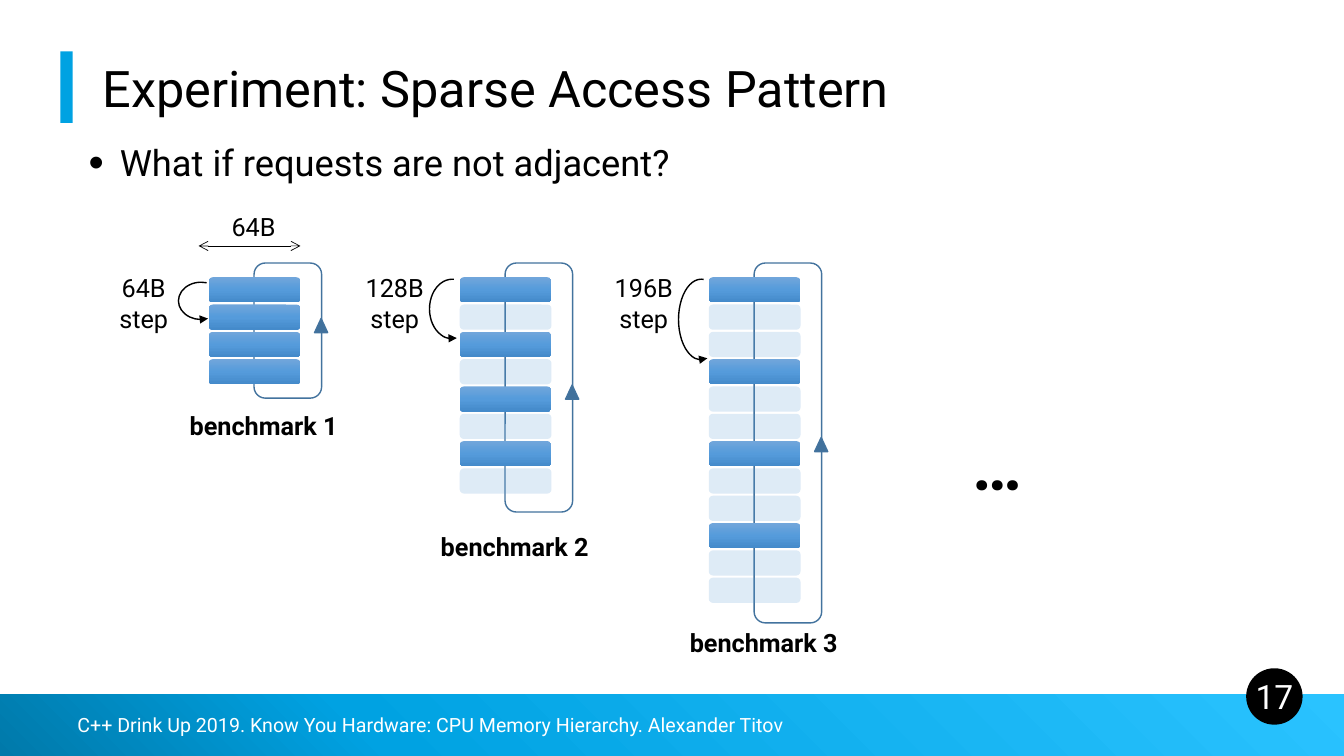
from dataclasses import dataclass

from pptx import Presentation
from pptx.dml.color import RGBColor
from pptx.enum.shapes import MSO_CONNECTOR, MSO_SHAPE
from pptx.enum.text import MSO_ANCHOR, PP_ALIGN
from pptx.oxml import parse_xml
from pptx.oxml.ns import nsdecls
from pptx.util import Inches, Pt


@dataclass(frozen=True)
class Theme:
    font: str = "Roboto"
    black: str = "000000"
    white: str = "FFFFFF"
    accent: str = "00A2E2"
    loop: str = "43739E"
    marker: str = "41719C"
    skipped: str = "5B9BD5"
    footer_stops: tuple = ((0, "0079AA"), (28, "00A2E2"), (100, "2AC3FF"))
    used_stops: tuple = ((0, "71A6DB"), (50, "559BDB"), (100, "448ACA"))
    title: float = 36
    body: float = 25.9
    label: float = 18
    footer: float = 14
    number: float = 24
    dots: float = 48


@dataclass(frozen=True)
class Benchmark:
    name: str
    step: str
    left: float
    stride: int
    loop_height: float
    marker_top: float
    name_top: float
    arc: tuple  # top, height, start, end


THEME = Theme()
BENCHMARKS = (
    Benchmark("benchmark 1", "64B", 2.07, 1, 1.34, 3.16, 4.02,
              (2.8, 0.37, 151.74, 66.71)),
    Benchmark("benchmark 2", "128B", 4.56, 2, 2.47, 3.82, 5.22,
              (2.77, 0.59, 159.99, 59.4)),
    Benchmark("benchmark 3", "196B", 7.03, 3, 3.57, 4.34, 6.17,
              (2.77, 0.8, 159.99, 59.4)),
)
ACCESSES = 4
STACK_TOP, ROW_PITCH = 2.75, 0.271
ROW_WIDTH, ROW_HEIGHT = 0.91, 0.25


def color(value):
    return RGBColor.from_string(value)


def add_shape(page, kind, box, fill=None, line=None):
    shape = page.shapes.add_shape(kind, *map(Inches, box))
    shape.shadow.inherit = False
    if fill:
        shape.fill.solid()
        shape.fill.fore_color.rgb = color(fill)
    else:
        shape.fill.background()
    if line:
        shape.line.color.rgb = color(line)
        shape.line.width = Pt(1)
    else:
        shape.line.fill.background()
    return shape


def set_gradient(shape, stops, angle):
    stop_xml = "".join(
        f'<a:gs pos="{position * 1000}"><a:srgbClr val="{value}"/></a:gs>'
        for position, value in stops)
    gradient = parse_xml(
        f'<a:gradFill {nsdecls("a")} rotWithShape="1"><a:gsLst>{stop_xml}</a:gsLst>'
        f'<a:lin ang="{angle * 60000}" scaled="0"/></a:gradFill>')
    properties = shape.element.spPr
    properties.replace(properties.find(shape.fill_tag) if hasattr(shape, "fill_tag")
                       else properties.xpath("a:solidFill")[0], gradient)


def add_arrowhead(line, end, kind):
    line.line._get_or_add_ln().append(
        parse_xml(f'<a:{end} {nsdecls("a")} type="{kind}"/>'))


def add_text(page, box, text, size, ink=THEME.black, bold=False,
             align=PP_ALIGN.CENTER, anchor=MSO_ANCHOR.MIDDLE, wrap=False):
    frame = page.shapes.add_textbox(*map(Inches, box)).text_frame
    frame.word_wrap = wrap
    frame.vertical_anchor = anchor
    frame.text = text
    for para in frame.paragraphs:
        para.alignment = align
        for span in para.runs:
            span.font.name = THEME.font
            span.font.size = Pt(size)
            span.font.bold = bold
            span.font.color.rgb = color(ink)
    return frame


def add_footer(page, left, top, width, height):
    bar = add_shape(page, MSO_SHAPE.RECTANGLE, (left, top, width, height), THEME.accent)
    set_gradient(bar, THEME.footer_stops, 315)
    add_text(page, (left + 0.67, top + 0.06, 11, 0.48),
             "C++ Drink Up 2019. Know You Hardware: CPU Memory Hierarchy. Alexander Titov",
             THEME.footer, THEME.white, align=PP_ALIGN.LEFT, wrap=True)
    # Page number badge
    add_shape(page, MSO_SHAPE.OVAL, (left + 12.36, top - 0.26, 0.56, 0.56), THEME.black)
    add_text(page, (left + 12.28, top - 0.26, 0.72, 0.56), "17",
             THEME.number, THEME.white, wrap=True)


def add_heading(page, left, top, width, height):
    add_shape(page, MSO_SHAPE.RECTANGLE, (left, top, 0.12, height), THEME.accent)
    title = add_text(page, (left + 0.32, top, width, height),
                     "Experiment: Sparse Access Pattern", THEME.title,
                     align=PP_ALIGN.LEFT, anchor=MSO_ANCHOR.BOTTOM, wrap=True)
    title.paragraphs[0].line_spacing = 0.9


def add_question(page, box):
    frame = add_text(page, box, "What if requests are not adjacent?", THEME.body,
                     align=PP_ALIGN.LEFT, anchor=MSO_ANCHOR.TOP, wrap=True)
    para = frame.paragraphs[0]
    para.line_spacing = 0.8
    properties = para._p.get_or_add_pPr()
    properties.set("marL", str(Inches(0.31)))
    properties.set("indent", str(-Inches(0.31)))
    for tag in ('buSzPct {} val="120000"', 'buFont {} typeface="Arial"',
                'buChar {} char="•"'):
        properties.append(parse_xml(f'<a:{tag.format(nsdecls("a"))}/>'))


def add_width_mark(page, left, top, width):
    arrow = page.shapes.add_connector(
        MSO_CONNECTOR.STRAIGHT, *map(Inches, (left, top, left + width, top)))
    arrow.line.color.rgb = color(THEME.black)
    arrow.line.width = Pt(0.5)
    for end in ("headEnd", "tailEnd"):
        add_arrowhead(arrow, end, "arrow")
    arrow.element.spPr.append(parse_xml(f'<a:effectLst {nsdecls("a")}/>'))
    add_text(page, (left + 0.22, top - 0.39, 0.65, 0.4), "64B", THEME.label)


def add_benchmark(page, benchmark, top):
    left = benchmark.left
    # Loop back to the first row
    add_shape(page, MSO_SHAPE.ROUNDED_RECTANGLE,
              (left + 0.45, top - 0.14, 0.67, benchmark.loop_height),
              THEME.white, THEME.loop)
    add_shape(page, MSO_SHAPE.ISOSCELES_TRIANGLE,
              (left + 1.05, benchmark.marker_top, 0.13, 0.14), THEME.marker, THEME.loop)
    # Memory rows: one used per stride, the others skipped
    for row in range(ACCESSES * benchmark.stride):
        block = add_shape(page, MSO_SHAPE.ROUNDED_RECTANGLE,
                          (left, top + row * ROW_PITCH, ROW_WIDTH, ROW_HEIGHT),
                          THEME.skipped)
        if row % benchmark.stride == 0:
            set_gradient(block, THEME.used_stops, 90)
        else:
            block.element.spPr.xpath("a:solidFill/a:srgbClr")[0].append(
                parse_xml(f'<a:alpha {nsdecls("a")} val="20000"/>'))
    # Step arc and labels
    arc_top, arc_height, start, end = benchmark.arc
    arc = add_shape(page, MSO_SHAPE.ARC, (left - 0.3, arc_top, 0.45, arc_height),
                    line=THEME.black)
    arc.adjustments[0], arc.adjustments[1] = start, end
    arc.element.spPr.xfrm.set("flipH", "1")
    add_arrowhead(arc, "tailEnd", "triangle")
    add_text(page, (left - 1.04, top - 0.1, 0.79, 0.71),
             f"{benchmark.step}\nstep", THEME.label)
    add_text(page, (left - 0.3, benchmark.name_top, 1.69, 0.4),
             benchmark.name, THEME.label, bold=True)


def main():
    deck = Presentation()
    deck.slide_width, deck.slide_height = Inches(13.33), Inches(7.5)
    page = deck.slides.add_slide(deck.slide_layouts[6])
    add_footer(page, 0, 6.89, 13.33, 0.61)
    add_heading(page, 0.6, 0.51, 11.5, 0.71)
    add_question(page, (0.78, 1.43, 11.95, 0.48))
    add_width_mark(page, 1.97, 2.44, 1.01)
    for benchmark in BENCHMARKS:
        add_benchmark(page, benchmark, STACK_TOP)
    add_text(page, (9.54, 4.14, 0.7, 0.91), "…", THEME.dots, bold=True)
    deck.save("out.pptx")


if __name__ == "__main__":
    main()
